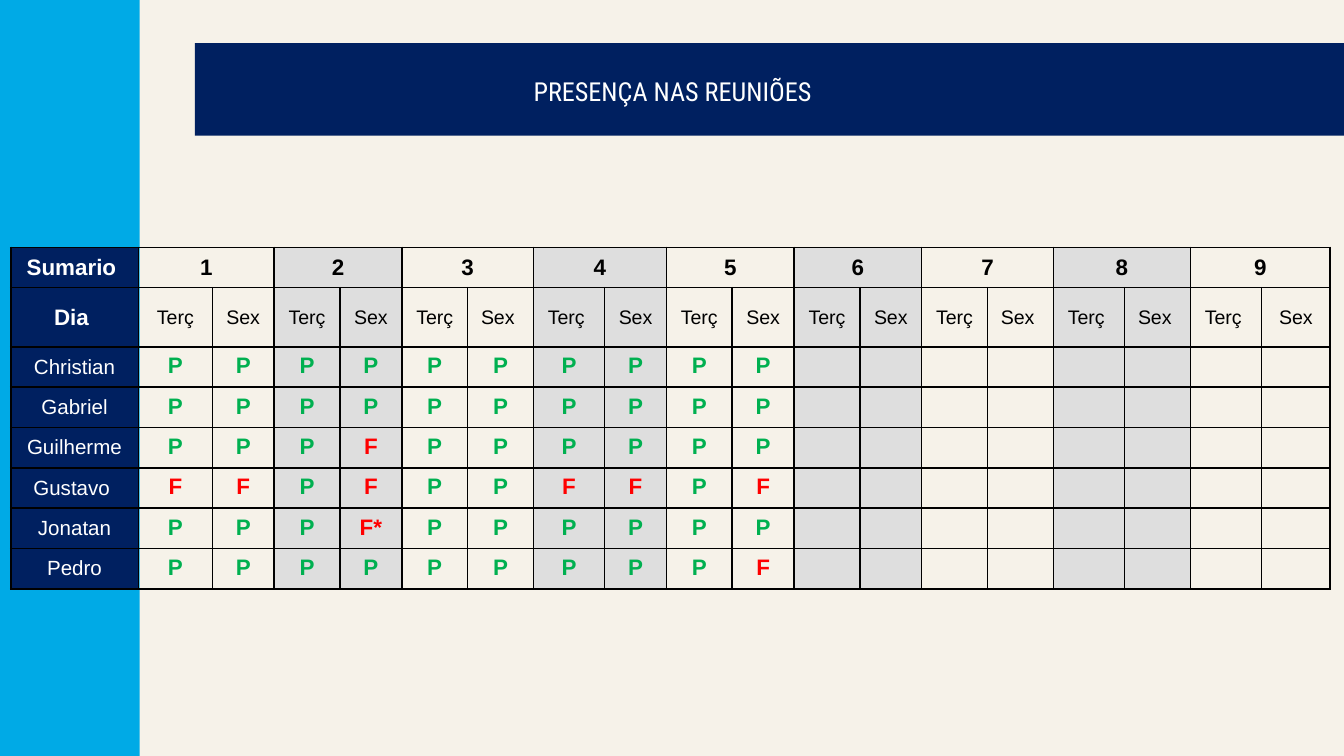
from dataclasses import dataclass

from lxml.etree import SubElement
from pptx import Presentation
from pptx.dml.color import RGBColor
from pptx.enum.shapes import MSO_SHAPE as Shape
from pptx.enum.text import MSO_ANCHOR as Anchor, PP_ALIGN as Align
from pptx.oxml.ns import qn
from pptx.util import Inches, Pt

NAVY, CYAN, CREAM, GREY = "002060", "00AAE6", "F6F2E9", "DEDEDE"
WHITE, BLACK, GREEN, RED = "FFFFFF", "000000", "00B050", "FF0000"
WIDTH = 10
HEIGHT = WIDTH * 9 / 16


@dataclass
class Style:
    size: float
    color: str
    bold: bool = False
    font: str = "Arial"
    anchor: Anchor = Anchor.MIDDLE


@dataclass
class Member:
    name: str
    marks: str


HEADER = Style(12, WHITE, bold=True)
MEETING = Style(12, BLACK, bold=True)
DAY = Style(10.5, BLACK)
NAME = Style(11, WHITE)
PRESENT = Style(12, GREEN, bold=True, anchor=Anchor.TOP)
ABSENT = Style(12, RED, bold=True, anchor=Anchor.TOP)

DAYS = ("Terç|Sex|Terç|Sex|Terç|Sex |Terç |Sex|Terç|Sex|Terç|Sex|"
        "Terç|Sex |Terç |Sex |Terç |Sex").split("|")
MEMBERS = [
    Member("Christian", "P P P P P P P P P P"),
    Member("Gabriel", "P P P P P P P P P P"),
    Member("Guilherme", "P P P F P P P P P P"),
    Member("Gustavo ", "F F P F P P F F P F"),
    Member("Jonatan", "P P P F* P P P P P P"),
    Member("Pedro", "P P P P P P P P P F"),
]
COL_WIDTHS = [0.95, 0.55, 0.46, 0.49, 0.46, 0.49, 0.49, 0.53, 0.46, 0.49,
              0.46, 0.49, 0.46, 0.49, 0.49, 0.53, 0.49, 0.53, 0.51]
ROW_HEIGHTS = [0.3, 0.44] + [0.3] * len(MEMBERS)


def rgb(value: str) -> RGBColor:
    return RGBColor.from_string(value)


def add_rect(s, x: float, y: float, w: float, h: float, color: str) -> None:
    sp = s.shapes.add_shape(Shape.RECTANGLE, Inches(x), Inches(y), Inches(w), Inches(h))
    sp.shadow.inherit = False
    sp.fill.solid()
    sp.fill.fore_color.rgb = rgb(color)
    sp.line.fill.background()


def write(tf, text: str, style: Style) -> None:
    tf.text = text
    p = tf.paragraphs[0]
    p.alignment = Align.CENTER
    for r in p.runs:
        r.font.name = style.font
        r.font.size = Pt(style.size)
        r.font.bold = style.bold
        r.font.color.rgb = rgb(style.color)
    if not text:  # keeps empty rows from growing
        SubElement(p._p, qn("a:endParaRPr"), sz=str(int(style.size * 100)))


def set_borders(cell, color: str, width: float) -> None:
    tc_pr = cell._tc.get_or_add_tcPr()
    for i, side in enumerate(("lnL", "lnR", "lnT", "lnB")):
        ln = SubElement(tc_pr, qn(f"a:{side}"), w=str(Pt(width)))
        fill = SubElement(ln, qn("a:solidFill"))
        SubElement(fill, qn("a:srgbClr"), val=color)
        tc_pr.insert(i, ln)


def fill_cell(cell, text: str, style: Style, col: int) -> None:
    cell.margin_left = cell.margin_right = Inches(0.05)
    cell.margin_top = cell.margin_bottom = Inches(0.05)
    cell.vertical_anchor = style.anchor
    # Every second meeting (a pair of columns) is shaded
    shaded = (col - 1) // 2 % 2 == 1
    if col == 0 or shaded:
        cell.fill.solid()
        cell.fill.fore_color.rgb = rgb(NAVY if col == 0 else GREY)
    else:
        cell.fill.background()
    set_borders(cell, BLACK, 1)
    write(cell.text_frame, text, style)


def add_attendance(s, x: float, y: float) -> None:
    table = s.shapes.add_table(
        len(ROW_HEIGHTS), len(COL_WIDTHS), Inches(x), Inches(y),
        Inches(sum(COL_WIDTHS)), Inches(sum(ROW_HEIGHTS))).table
    table.first_row = table.horz_banding = False
    for column, width in zip(table.columns, COL_WIDTHS):
        column.width = Inches(width)
    for row, height in zip(table.rows, ROW_HEIGHTS):
        row.height = Inches(height)

    # Meeting numbers and weekdays
    fill_cell(table.cell(0, 0), "Sumario ", HEADER, 0)
    fill_cell(table.cell(1, 0), "Dia ", HEADER, 0)
    for col, day in enumerate(DAYS, 1):
        number = str((col + 1) // 2) if col % 2 else ""
        fill_cell(table.cell(0, col), number, MEETING, col)
        fill_cell(table.cell(1, col), day, DAY, col)
    for col in range(1, len(COL_WIDTHS), 2):
        table.cell(0, col).merge(table.cell(0, col + 1))

    # One row of marks per member
    for row, member in enumerate(MEMBERS, 2):
        fill_cell(table.cell(row, 0), member.name, NAME, 0)
        marks = member.marks.split()
        marks += [""] * (len(DAYS) - len(marks))
        for col, mark in enumerate(marks, 1):
            style = ABSENT if mark.startswith("F") else PRESENT
            fill_cell(table.cell(row, col), mark, style, col)


def main() -> None:
    prs = Presentation()
    prs.slide_width, prs.slide_height = Inches(WIDTH), Inches(HEIGHT)
    s = prs.slides.add_slide(prs.slide_layouts[6])
    s.background.fill.solid()
    s.background.fill.fore_color.rgb = rgb(CREAM)

    # Title band and side band
    add_rect(s, 1.45, 0.32, 8.55, 0.69, NAVY)
    add_rect(s, 0, 0, 1.04, HEIGHT, CYAN)

    # Title
    tf = s.shapes.add_textbox(Inches(2.98), Inches(0.5), Inches(4.05), Inches(0.36)).text_frame
    tf.word_wrap = True
    tf.vertical_anchor = Anchor.MIDDLE
    tf.margin_left = tf.margin_right = tf.margin_top = tf.margin_bottom = Inches(0.1)
    write(tf, "PRESENÇA NAS REUNIÕES", Style(14, WHITE, font="Roboto Condensed"))

    # Attendance table
    add_attendance(s, 0.08, 1.84)
    prs.save("out.pptx")


if __name__ == "__main__":
    main()
